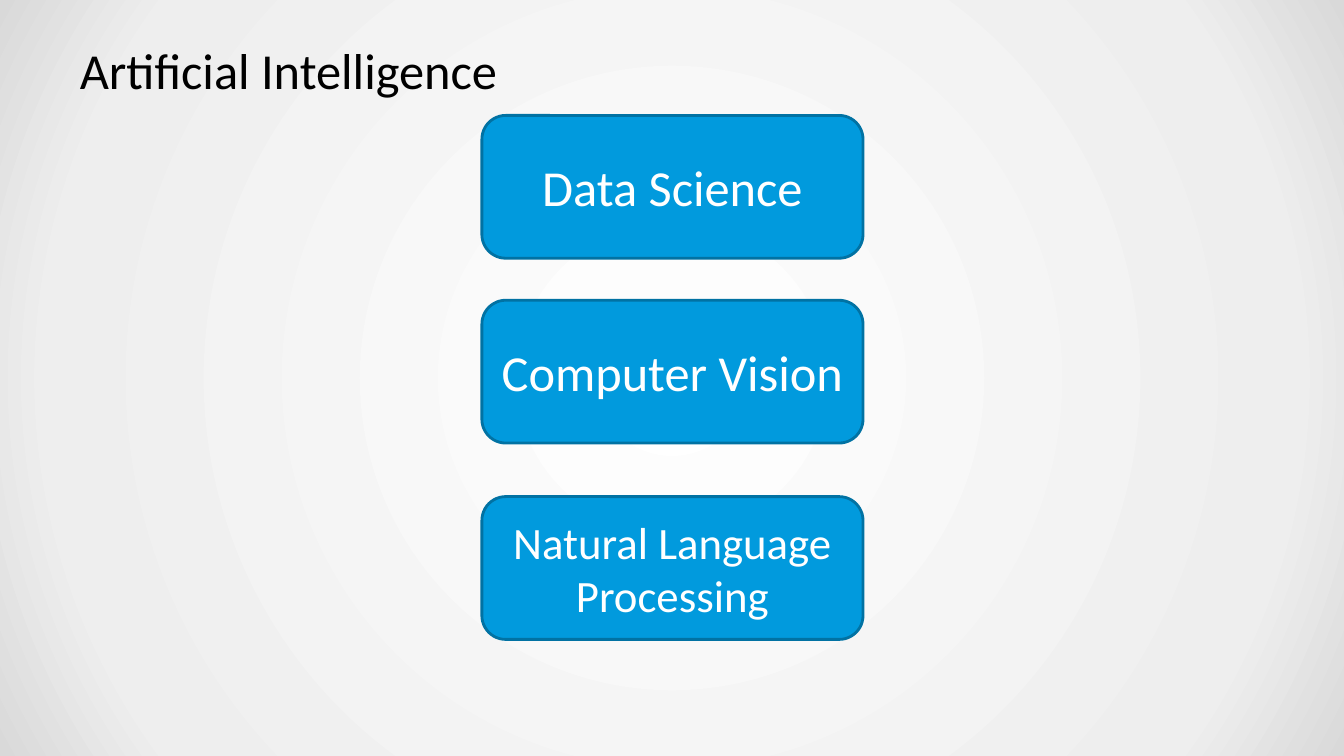
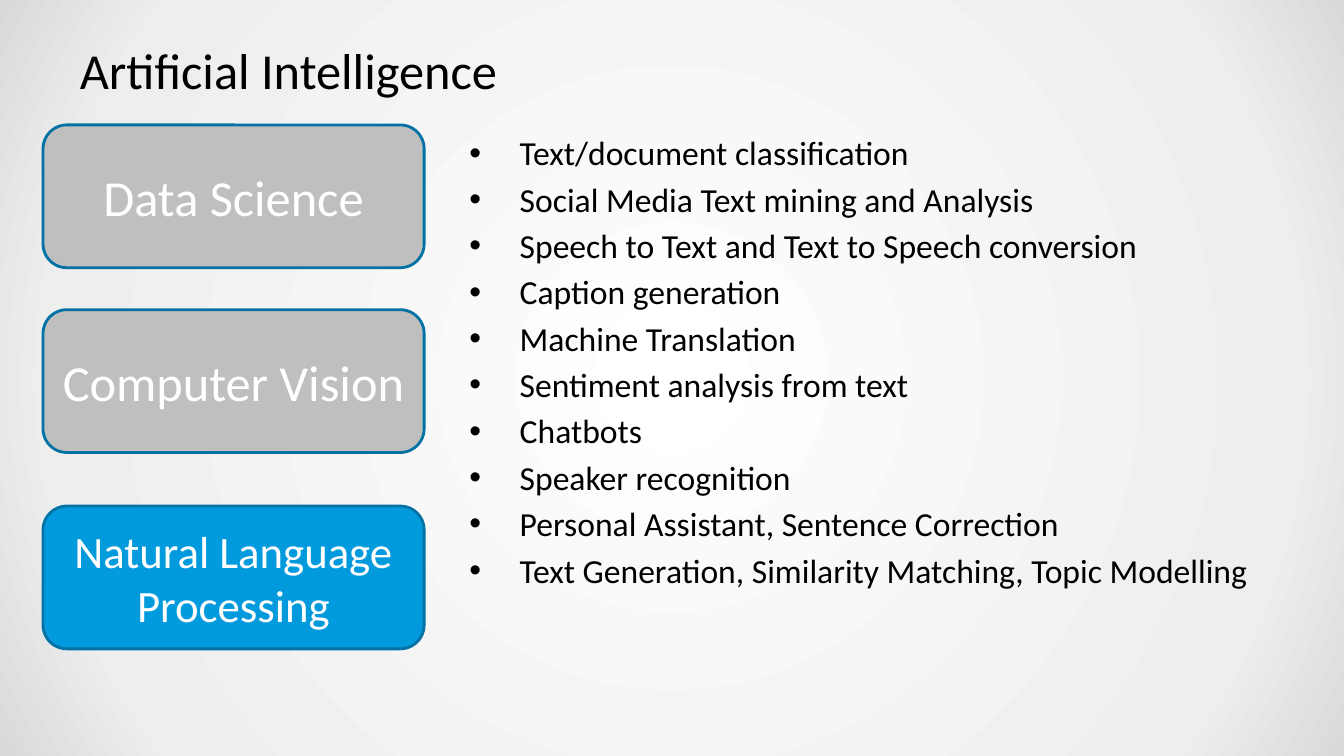
"""Builds two slides on the fields of artificial intelligence."""
from lxml import etree
from pptx import Presentation, util as u
from pptx.dml.color import RGBColor
from pptx.enum import shapes, text
from pptx.oxml import parse_xml
from pptx.oxml.ns import nsdecls, qn

PX = 9525
FONT = "Calibri"
COLORS = {"ink": "000000", "white": "FFFFFF", "blue": "019ADD",
          "edge": "0172A3", "muted": "BFBFBF"}
BACKGROUND = [(0, "FFFFFF"), (81, "EEEEEE"), (100, "D9D9D9")]
TITLE = "Artificial Intelligence"
TITLE_BOX = (64, 29, 1152, 75)
FIELDS = [("Data Science", 36, 0), ("Computer Vision", 36, 176),
          ("Natural Language Processing", 32, 363)]
FIELD_SIZE = (363, 136)
TOPICS_BOX = (435, 119, 781, 523)
TOPIC_INDENT = 48
SLIDES = [
    {"origin": (459, 110), "active": {0, 1, 2}, "topics": []},
    {"origin": (41, 119), "active": {2}, "topics": [
        "Text/document classification",
        "Social Media Text mining and Analysis",
        "Speech to Text and Text to Speech conversion",
        "Caption generation",
        "Machine Translation",
        "Sentiment analysis from text",
        "Chatbots",
        "Speaker recognition",
        "Personal Assistant, Sentence Correction",
        "Text Generation, Similarity Matching, Topic Modelling",
    ]},
]


def px(*values):
    return [u.Emu(v * PX) for v in values]


def rgb(name):
    return RGBColor.from_string(COLORS[name])


def set_font(p, size, color):
    p.font.name, p.font.size, p.font.color.rgb = FONT, u.Pt(size), rgb(color)


def set_frame(tf, anchor):
    tf.word_wrap = True
    tf.vertical_anchor = anchor
    tf.margin_left, tf.margin_top, tf.margin_right, tf.margin_bottom = px(12, 7, 12, 7)


def set_background(master):
    stops = "".join(f'<a:gs pos="{pos * 1000}"><a:srgbClr val="{color}"/></a:gs>'
                    for pos, color in BACKGROUND)
    bg = parse_xml(
        f'<p:bg {nsdecls("p", "a")}><p:bgPr><a:gradFill rotWithShape="1">'
        f'<a:gsLst>{stops}</a:gsLst><a:path path="circle">'
        '<a:fillToRect l="50000" t="50000" r="50000" b="50000"/></a:path>'
        '</a:gradFill><a:effectLst/></p:bgPr></p:bg>')
    c_sld = master.element.find(qn("p:cSld"))
    for old in c_sld.findall(qn("p:bg")):
        c_sld.remove(old)
    c_sld.insert(0, bg)


def add_title(s):
    sp = s.shapes.title
    sp.left, sp.top, sp.width, sp.height = px(*TITLE_BOX)
    tf = sp.text_frame
    set_frame(tf, text.MSO_ANCHOR.MIDDLE)
    tf.text = TITLE
    p = tf.paragraphs[0]
    p.alignment = text.PP_ALIGN.LEFT
    set_font(p, 36, "ink")


def add_topics(s, topics):
    tf = s.shapes.add_textbox(*px(*TOPICS_BOX)).text_frame
    set_frame(tf, text.MSO_ANCHOR.TOP)
    for i, topic in enumerate(topics):
        p = tf.add_paragraph() if i else tf.paragraphs[0]
        p.text = topic
        p.space_before = u.Pt(4.3 if i else 0)
        p_pr = p._p.get_or_add_pPr()
        p_pr.set("marL", str(TOPIC_INDENT * PX))
        p_pr.set("indent", str(-TOPIC_INDENT * PX))
        etree.SubElement(p_pr, qn("a:buFont")).set("typeface", "Arial")
        etree.SubElement(p_pr, qn("a:buChar")).set("char", "•")
        set_font(p, 24, "ink")


def add_fields(s, origin, active):
    left, top = origin
    group = s.shapes.add_group_shape()
    for i, (name, size, offset) in enumerate(FIELDS):
        sp = group.shapes.add_shape(shapes.MSO_SHAPE.ROUNDED_RECTANGLE,
                                    *px(left, top + offset, *FIELD_SIZE))
        sp.shadow.inherit = False
        sp.fill.solid()
        sp.fill.fore_color.rgb = rgb("blue" if i in active else "muted")
        sp.line.color.rgb = rgb("edge")
        sp.line.width = u.Pt(2)
        tf = sp.text_frame
        tf.word_wrap = True
        tf.vertical_anchor = text.MSO_ANCHOR.MIDDLE
        tf.text = name
        p = tf.paragraphs[0]
        p.alignment = text.PP_ALIGN.CENTER
        set_font(p, size, "white")


def main():
    prs = Presentation()
    prs.slide_width, prs.slide_height = px(1280, 720)
    set_background(prs.slide_master)
    for content in SLIDES:
        s = prs.slides.add_slide(prs.slide_layouts.get_by_name("Title Only"))
        add_title(s)
        if content["topics"]:
            add_topics(s, content["topics"])
        add_fields(s, content["origin"], content["active"])
    prs.save("out.pptx")


if __name__ == "__main__":
    main()
